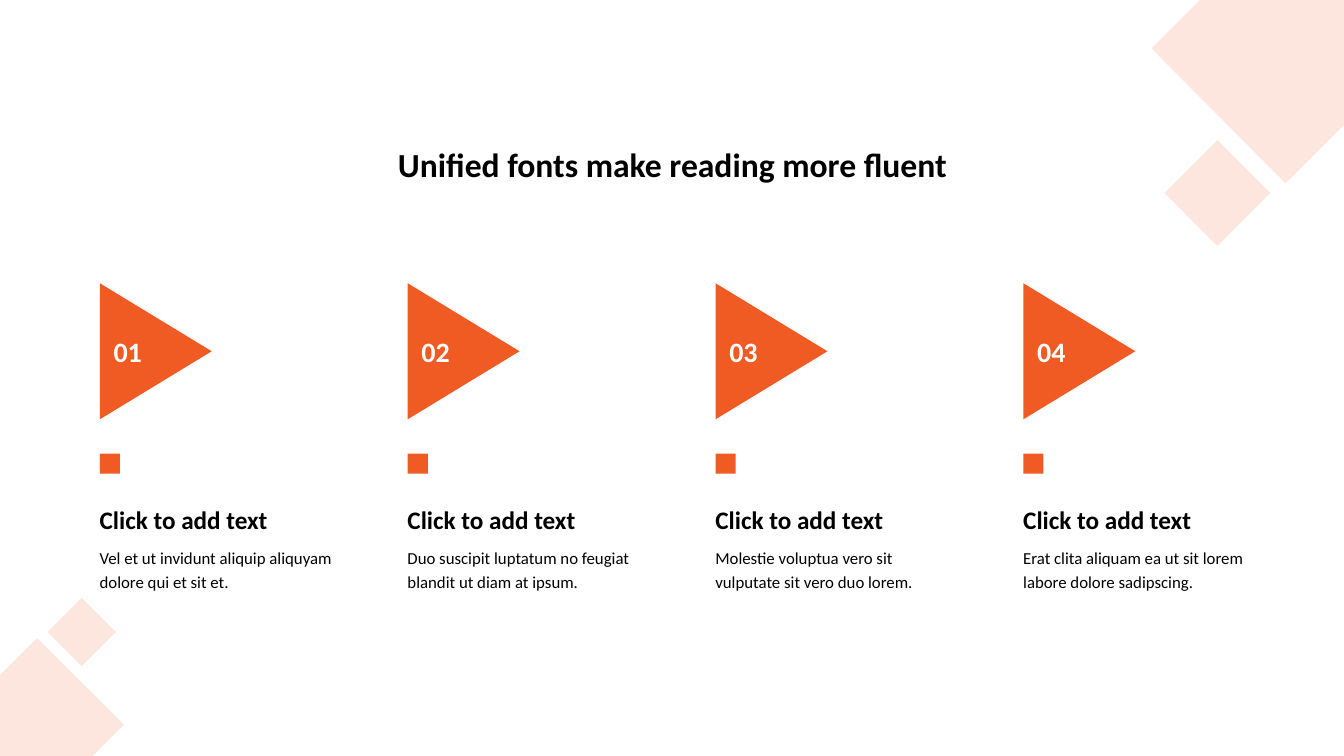
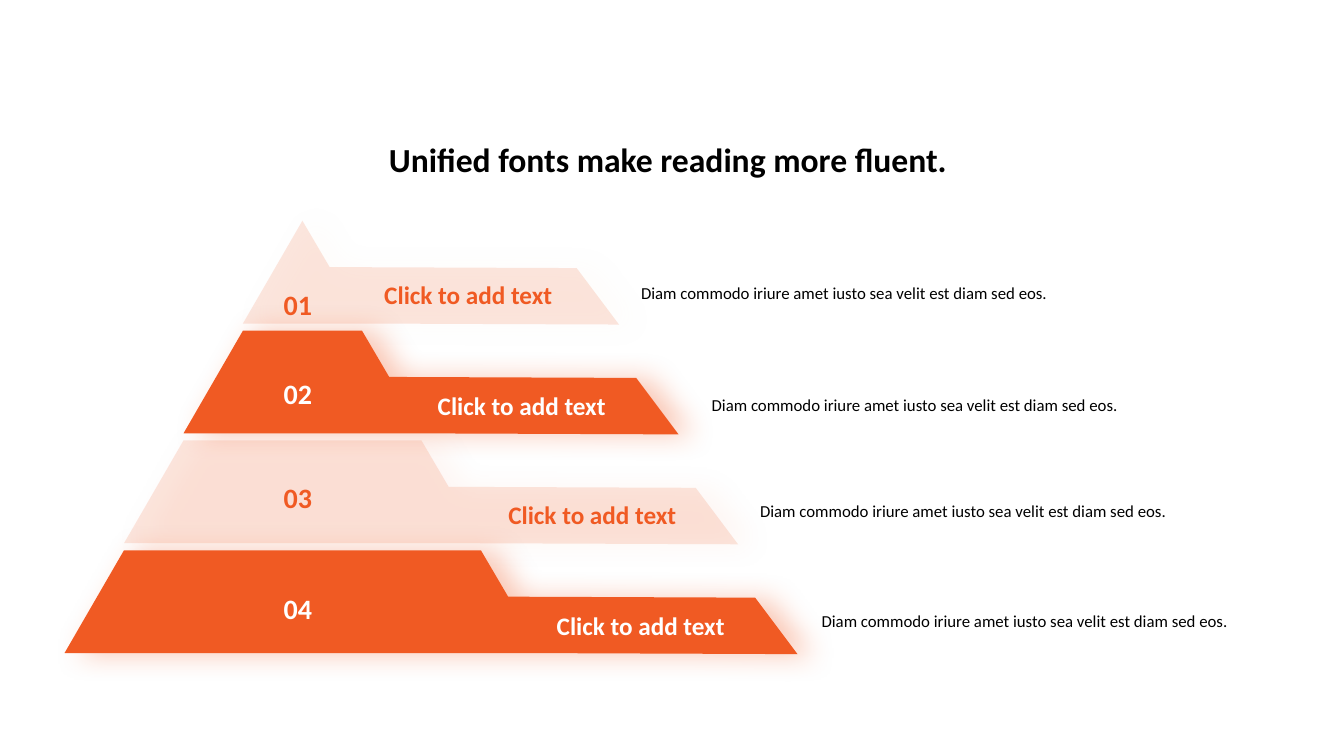
from dataclasses import dataclass

from lxml import etree
from pptx import Presentation
from pptx import util as u
from pptx.dml.color import RGBColor
from pptx.enum import shapes, text
from pptx.oxml import ns

COLORS = {
    "accent": "F05A23",
    "peach": "FECEAF",
    "black": "000000",
    "white": "FFFFFF",
}
FONT = "Calibri"
TINT = 15
TOP, MIDDLE, BOTTOM = (
    text.MSO_ANCHOR.TOP, text.MSO_ANCHOR.MIDDLE, text.MSO_ANCHOR.BOTTOM)
LEFT, CENTER = text.PP_ALIGN.LEFT, text.PP_ALIGN.CENTER
LABEL = "Click to add text"
TIER_NOTE = "Diam commodo iriure amet iusto sea velit est diam sed eos."

Points = list[tuple[float, float]]


@dataclass(frozen=True)
class Style:
    size: int
    bold: bool = False
    color: str = "black"
    align: text.PP_ALIGN = LEFT
    anchor: text.MSO_ANCHOR = TOP
    spacing: float = 1.0


@dataclass(frozen=True)
class Box:
    left: float
    top: float
    width: float
    height: float

    def lengths(self) -> list[u.Length]:
        return [u.Inches(n) for n in (self.left, self.top, self.width, self.height)]


@dataclass(frozen=True)
class Tier:
    tinted: bool
    shadow: str
    number_top: float
    label_left: float
    label_top: float
    note_left: float
    note_top: float


TITLE = Style(24, bold=True, align=CENTER, anchor=BOTTOM)
HEADING = Style(18, bold=True, anchor=BOTTOM)
BODY = Style(12, spacing=1.2)
ARROW_NUMBER = Style(20, bold=True, color="white", align=CENTER, anchor=MIDDLE)

COLUMN_TEXTS = [
    "Vel et ut invidunt aliquip aliquyam dolore qui et sit et.",
    "Duo suscipit luptatum no feugiat blandit ut diam at ipsum.",
    "Molestie voluptua vero sit vulputate sit vero duo lorem.",
    "Erat clita aliquam ea ut sit lorem labore dolore sadipscing.",
]
FIRST_COLUMN, LAST_COLUMN = 0.99, 10.15
TEXT_INSET = 0.1

TIERS = [
    Tier(True, "peach", 2.7, 3.56, 2.67, 6.26, 2.72),
    Tier(False, "accent", 3.59, 4.09, 3.77, 6.96, 3.83),
    Tier(True, "accent", 4.62, 4.79, 4.85, 7.44, 4.88),
    Tier(False, "accent", 5.72, 5.27, 5.95, 8.05, 5.97),
]
APEX_X, APEX_Y = 3.0, 2.19
TIER_PITCH, TIER_STEP = 1.09, 0.59
NOTE_RIGHT = 12.6


def rgb(name: str) -> RGBColor:
    return RGBColor.from_string(COLORS[name])


def paint(shape, alpha: int = 100) -> None:
    """Fill with the accent colour, without outline or shadow."""
    shape.shadow.inherit = False
    shape.line.fill.background()
    shape.fill.solid()
    shape.fill.fore_color.rgb = rgb("accent")
    if alpha < 100:
        color = shape.element.spPr.find(ns.qn("a:solidFill"))[0]
        etree.SubElement(color, ns.qn("a:alpha"), val=str(alpha * 1000))


def add_glow(shape, color: str) -> None:
    """Cast a soft shadow to the right."""
    effects = shape.element.spPr.find(ns.qn("a:effectLst"))
    shadow = etree.SubElement(
        effects, ns.qn("a:outerShdw"), blurRad=str(u.Pt(20)),
        dist=str(u.Pt(10)), dir="0", algn="l", rotWithShape="0")
    tone = etree.SubElement(shadow, ns.qn("a:srgbClr"), val=COLORS[color])
    etree.SubElement(tone, ns.qn("a:alpha"), val="32000")


def write(shape, words: str, style: Style, wrap: bool = True) -> None:
    frame = shape.text_frame
    frame.word_wrap = wrap
    frame.vertical_anchor = style.anchor
    paragraph = frame.paragraphs[0]
    paragraph.text = words
    paragraph.alignment = style.align
    paragraph.line_spacing = style.spacing
    paragraph.font.name = FONT
    paragraph.font.size = u.Pt(style.size)
    paragraph.font.bold = style.bold
    paragraph.font.color.rgb = rgb(style.color)


def add_text(slide, box: Box, words: str, style: Style) -> None:
    write(slide.shapes.add_textbox(*box.lengths()), words, style)


def add_preset(slide, kind: shapes.MSO_SHAPE, box: Box, alpha: int = 100):
    shape = slide.shapes.add_shape(kind, *box.lengths())
    paint(shape, alpha)
    return shape


def add_outline(slide, points: Points, alpha: int = 100):
    start, *rest = [(u.Inches(x), u.Inches(y)) for x, y in points]
    builder = slide.shapes.build_freeform(*start)
    builder.add_line_segments(rest, close=True)
    shape = builder.convert_to_shape()
    paint(shape, alpha)
    return shape


def add_corner_diamonds(slide) -> None:
    top_right = [(11.9, 0), (13.33, 0), (13.33, 1.24), (12.75, 1.82), (11.42, 0.48)]
    bottom_left = [(0.92, 7.5), (0, 7.5), (0, 6.7), (0.37, 6.33), (1.23, 7.19)]
    for points in (top_right, bottom_left):
        add_outline(slide, points, TINT)
    for box in (Box(11.55, 1.39, 1.05, 1.05), Box(0.47, 5.93, 0.68, 0.68)):
        add_preset(slide, shapes.MSO_SHAPE.DIAMOND, box, TINT)


def add_column(slide, index: int, body: str) -> None:
    pitch = (LAST_COLUMN - FIRST_COLUMN) / (len(COLUMN_TEXTS) - 1)
    left = FIRST_COLUMN + index * pitch
    text_left = left - TEXT_INSET
    add_text(slide, Box(text_left, 5.34, 2.54, 1.17), body, BODY)
    add_text(slide, Box(text_left, 4.75, 2.54, 0.6), LABEL, HEADING)
    arrow = add_preset(slide, shapes.MSO_SHAPE.PENTAGON, Box(left, 2.81, 1.11, 1.35))
    arrow.adjustments[0] = 1.0
    frame = arrow.text_frame
    frame.margin_left = frame.margin_right = u.Inches(0.12)
    frame.margin_top = frame.margin_bottom = u.Inches(0.12)
    write(arrow, f"{index + 1:02}", ARROW_NUMBER, wrap=False)
    add_preset(slide, shapes.MSO_SHAPE.RECTANGLE, Box(left, 4.5, 0.2, 0.2))


def tier_points(index: int) -> Points:
    """Outline of a pyramid tier with its tab on the right."""
    top = APEX_Y + index * TIER_PITCH
    left = APEX_X - index * TIER_STEP
    right = APEX_X + index * TIER_STEP
    tab = [(0, 0), (0.27, 0.46), (2.72, 0.47), (3.14, 1.03), (0.58, 1.02)]
    outline = [(right + dx, top + dy) for dx, dy in tab]
    outline.append((left - TIER_STEP, top + 1.02))
    if index:
        outline.append((left, top))
    return outline


def add_tier(slide, index: int, tier: Tier) -> None:
    shape = add_outline(slide, tier_points(index), TINT if tier.tinted else 100)
    add_glow(shape, tier.shadow)
    color = "accent" if tier.tinted else "white"
    label = Style(18, bold=True, color=color, align=CENTER, anchor=MIDDLE)
    number = Style(20, bold=True, color=color, align=CENTER, spacing=1.3)
    add_text(slide, Box(tier.label_left, tier.label_top, 2.17, 0.5), LABEL, label)
    add_text(slide, Box(2.65, tier.number_top, 0.61, 0.5), f"{index + 1:02}", number)
    note = Box(tier.note_left, tier.note_top, NOTE_RIGHT - tier.note_left, 0.52)
    add_text(slide, note, TIER_NOTE, BODY)


def add_slide(presentation, title: str, title_box: Box):
    slide = presentation.slides.add_slide(presentation.slide_layouts[6])
    add_text(slide, title_box, title, TITLE)
    return slide


def build_columns(presentation) -> None:
    slide = add_slide(presentation, "Unified fonts make reading more fluent",
                      Box(2.14, 1.24, 9.06, 0.64))
    add_corner_diamonds(slide)
    for index, body in enumerate(COLUMN_TEXTS):
        add_column(slide, index, body)


def build_pyramid(presentation) -> None:
    slide = add_slide(presentation, "Unified fonts make reading more fluent.",
                      Box(1.39, 1.13, 10.47, 0.7))
    for index, tier in enumerate(TIERS):
        add_tier(slide, index, tier)


def main() -> None:
    presentation = Presentation()
    presentation.slide_width = u.Inches(13.33)
    presentation.slide_height = u.Inches(7.5)
    build_columns(presentation)
    build_pyramid(presentation)
    presentation.save("out.pptx")


if __name__ == "__main__":
    main()
